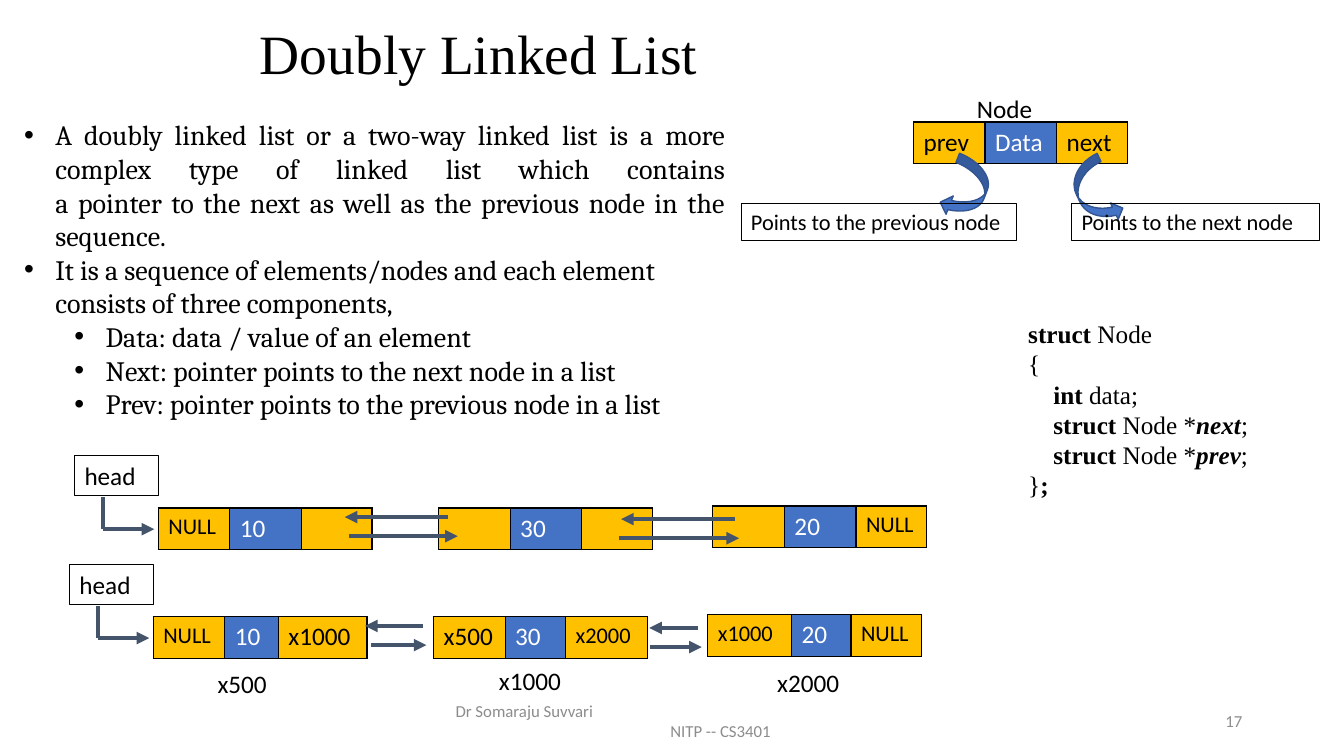
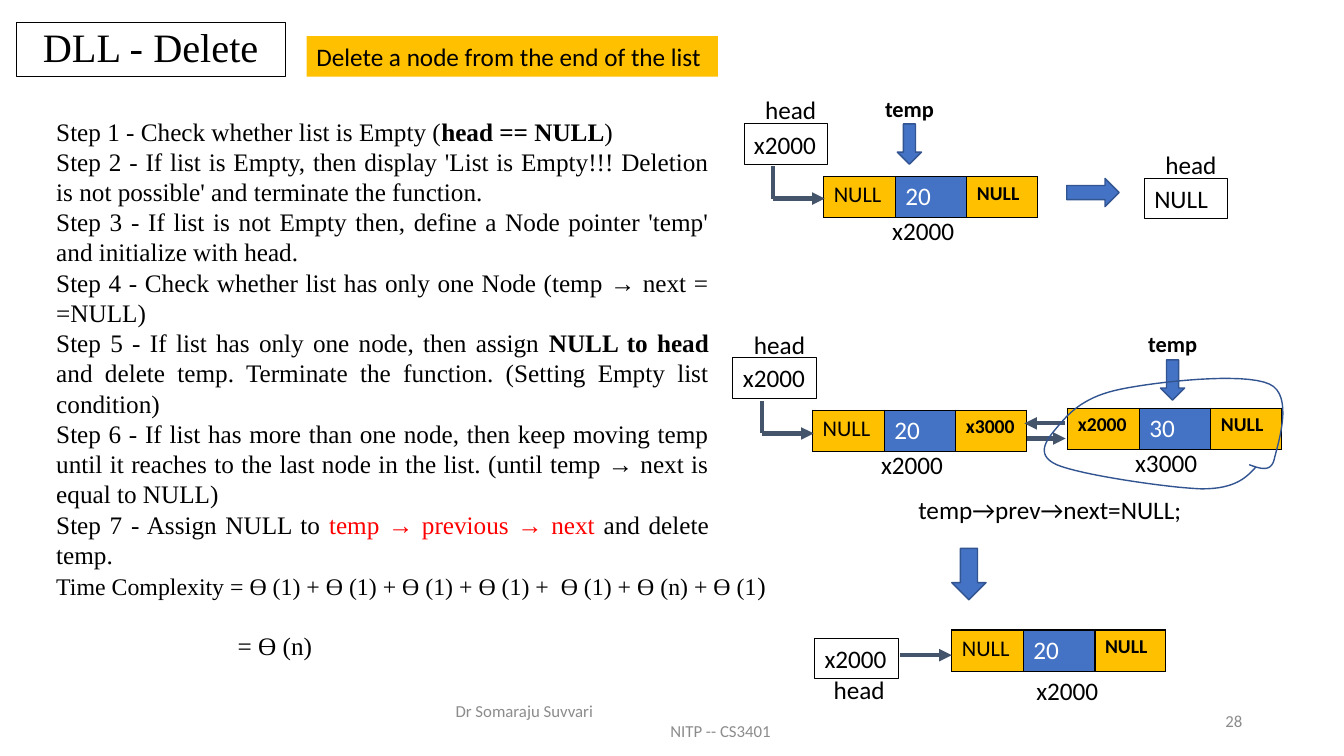
"""Build two lecture slides on doubly linked lists."""
from dataclasses import dataclass
from typing import Optional, Union

import pptx
import pptx.dml.color
import pptx.enum.shapes
import pptx.enum.text
import pptx.oxml
import pptx.oxml.ns
import pptx.util
from lxml import etree

RGB = pptx.dml.color.RGBColor
BLACK = RGB(0x00, 0x00, 0x00)
WHITE = RGB(0xFF, 0xFF, 0xFF)
GOLD = RGB(0xFF, 0xC0, 0x00)
BLUE = RGB(0x44, 0x72, 0xC4)
NAVY = RGB(0x32, 0x54, 0x91)
SLATE = RGB(0x44, 0x54, 0x6A)
GREY = RGB(0x8C, 0x8C, 0x8C)
RED = RGB(0xFF, 0x00, 0x00)
SANS, SERIF, BODY = "Calibri", "Times New Roman", "Cambria"
ALIGN = pptx.enum.text.PP_ALIGN
ANCHOR = pptx.enum.text.MSO_ANCHOR
SHAPE = pptx.enum.shapes.MSO_SHAPE
EMU_PER_PX = 9144
ROW_H = 41
CURVE_STEPS = 16


@dataclass
class Run:
    text: str
    bold: Optional[bool] = None
    italic: bool = False
    color: Optional[RGB] = None
    size: Optional[float] = None


@dataclass
class Para:
    content: Union[str, tuple]
    align: Optional[ALIGN] = None
    margin: int = 0
    bullet: bool = False
    level: int = 0
    before: int = 0


@dataclass
class Text:
    x: int
    y: int
    w: int
    h: int
    paras: tuple
    size: float = 18
    font: str = SANS
    color: RGB = BLACK
    bold: bool = False
    align: ALIGN = ALIGN.LEFT
    anchor: ANCHOR = ANCHOR.TOP
    spacing: Optional[float] = None
    fill: Optional[RGB] = None
    outline: bool = False


@dataclass
class Cell:
    text: str = ""
    size: int = 18
    bold: bool = False


@dataclass
class Node:
    x: int
    y: int
    cells: tuple
    widths: tuple = (71, 71, 70)


@dataclass
class Block:
    kind: SHAPE
    x: int
    y: int
    w: int
    h: int
    rotation: float = 0


@dataclass
class Arrow:
    x1: int
    x2: int
    y: int


def px(n: float) -> int:
    return pptx.util.Emu(round(n * EMU_PER_PX))


def style(font, name: str, size: float, color: RGB, bold: bool = False) -> None:
    font.name = name
    font.size = pptx.util.Pt(size)
    font.color.rgb = color
    font.bold = bold


def draw_text(s, t: Text) -> None:
    sp = s.shapes.add_textbox(px(t.x), px(t.y), px(t.w), px(t.h))
    if t.fill is not None:
        sp.fill.solid()
        sp.fill.fore_color.rgb = t.fill
    if t.outline:
        sp.line.color.rgb = BLACK
        sp.line.width = pptx.util.Pt(0.75)
    tf = sp.text_frame
    tf.word_wrap = True
    tf.vertical_anchor = t.anchor
    for i, item in enumerate(t.paras):
        para = item if isinstance(item, Para) else Para(item)
        p = tf.add_paragraph() if i else tf.paragraphs[0]
        p.alignment = para.align or t.align
        p.level = para.level
        if t.spacing:
            p.line_spacing = t.spacing
        if para.before:
            p.space_before = pptx.util.Pt(para.before)
        pPr = p._p.get_or_add_pPr()
        pPr.set("marL", str(px(para.margin)))
        if para.bullet:
            pPr.set("indent", str(px(-31)))
            etree.SubElement(pPr, pptx.oxml.ns.qn("a:buFont")).set("typeface", "Arial")
            etree.SubElement(pPr, pptx.oxml.ns.qn("a:buChar")).set("char", "•")
        if isinstance(para.content, str):
            p.text = para.content
            parts = [Run("")] * len(p.runs)
        else:
            parts = para.content
            for part in parts:
                p.add_run().text = part.text
        for r, part in zip(p.runs, parts):
            bold = t.bold if part.bold is None else part.bold
            style(r.font, t.font, part.size or t.size, part.color or t.color, bold)
            r.font.italic = part.italic


def draw_label(s, x: int, y: int, text: str) -> None:
    draw_text(s, Text(x, y, 103, 40, (text,)))


def draw_box(s, x: int, y: int, text: str) -> None:
    draw_text(s, Text(x, y, 83, 40, (text,), outline=True))


def draw_node(s, node: Node) -> None:
    frame = s.shapes.add_table(1, 3, px(node.x), px(node.y), px(sum(node.widths)), px(ROW_H))
    table = frame.table
    table.first_row = table.horz_banding = False
    table.rows[0].height = px(ROW_H)
    for i, (cell, width) in enumerate(zip(node.cells, node.widths)):
        table.columns[i].width = px(width)
        tc = table.cell(0, i)
        tc.fill.solid()
        tc.fill.fore_color.rgb = BLUE if i == 1 else GOLD
        p = tc.text_frame.paragraphs[0]
        p.text = cell.text
        for r in p.runs:
            style(r.font, SANS, cell.size, WHITE if i == 1 else BLACK, cell.bold)
        tcPr = tc._tc.get_or_add_tcPr()
        for k, side in enumerate(("lnL", "lnR", "lnT", "lnB")):
            tcPr.insert(k, pptx.oxml.parse_xml(
                f'<a:{side} {pptx.oxml.ns.nsdecls("a")} w="12700"><a:solidFill>'
                f'<a:srgbClr val="{BLACK}"/></a:solidFill></a:{side}>'))


def draw_line(s, x1: int, y1: int, x2: int, y2: int, head: bool = False) -> None:
    c = s.shapes.add_connector(pptx.enum.shapes.MSO_CONNECTOR.STRAIGHT, px(x1), px(y1), px(x2), px(y2))
    c.line.color.rgb = SLATE
    c.line.width = pptx.util.Pt(3)
    if head:
        ln = c.line._get_or_add_ln()
        etree.SubElement(ln, pptx.oxml.ns.qn("a:tailEnd")).set("type", "triangle")
    etree.SubElement(c._element.spPr, pptx.oxml.ns.qn("a:effectLst"))


def draw_arrow(s, a: Arrow) -> None:
    draw_line(s, a.x1, a.y, a.x2, a.y, head=True)


def draw_elbow(s, x: int, y: int) -> None:
    draw_arrow(s, Arrow(x, x + 51, y))
    draw_line(s, x, y, x, y - 32)


def outline_navy(sp) -> None:
    sp.shadow.inherit = False
    sp.line.color.rgb = NAVY
    sp.line.width = pptx.util.Pt(1)


def draw_block(s, b: Block) -> None:
    sp = s.shapes.add_shape(b.kind, px(b.x), px(b.y), px(b.w), px(b.h))
    sp.rotation = b.rotation
    sp.fill.solid()
    sp.fill.fore_color.rgb = BLUE
    outline_navy(sp)


def draw_loop(s, start: tuple, curves: tuple) -> None:
    points, a = [], start
    for b, c, d in curves:
        for step in range(1, CURVE_STEPS + 1):
            t = step / CURVE_STEPS
            u = 1 - t
            points.append(tuple(px(u**3 * m + 3 * u * u * t * n + 3 * u * t * t * o + t**3 * q)
                                for m, n, o, q in zip(a, b, c, d)))
        a = d
    builder = s.shapes.build_freeform(px(start[0]), px(start[1]))
    builder.add_line_segments(points, close=False)
    sp = builder.convert_to_shape()
    sp.fill.background()
    outline_navy(sp)


def add_slide(prs, number: str):
    s = prs.slides.add_slide(prs.slide_layouts[6])
    draw_text(s, Text(442, 695, 450, 40, ("Dr Somaraju Suvvari", Para("NITP -- CS3401", margin=213)),
                      size=12, color=GREY, anchor=ANCHOR.MIDDLE))
    draw_text(s, Text(942, 695, 300, 40, (number,), size=12, color=GREY,
                      align=ALIGN.RIGHT, anchor=ANCHOR.MIDDLE))
    return s


def draw_title(s, x: int, y: int, w: int, h: int, text: str, size: float, boxed: bool) -> None:
    draw_text(s, Text(x, y, w, h, (text,), size=size, font=SERIF, spacing=0.9, outline=boxed,
                      align=ALIGN.CENTER if boxed else ALIGN.LEFT, anchor=ANCHOR.MIDDLE))


def build_overview(prs) -> None:
    s = add_slide(prs, "17")
    draw_title(s, 248, 14, 496, 85, "Doubly Linked List", 39.6, False)
    null = Cell("NULL", 16)
    for node in (
        Node(906, 121, (Cell("prev"), Cell("Data"), Cell("next"))),
        Node(157, 504, (null, Cell("10"), Cell())),
        Node(435, 504, (Cell(), Cell("30"), Cell())),
        Node(707, 502, (Cell(), Cell("20"), null)),
        Node(152, 612, (null, Cell("10"), Cell("x1000")), (71, 53, 88)),
        Node(430, 612, (Cell("x500"), Cell("30"), Cell("x2000", 16)), (71, 60, 81)),
        Node(702, 610, (Cell("x1000", 16), Cell("20"), null), (83, 59, 70)),
    ):
        draw_node(s, node)
    draw_block(s, Block(SHAPE.CURVED_UP_ARROW, 1052, 173, 69, 36, 64.8))
    draw_block(s, Block(SHAPE.CURVED_LEFT_ARROW, 939, 157, 39, 62, 21.6))
    for x, w, side in ((1063, 246, "next"), (735, 273, "previous")):
        draw_text(s, Text(x, 202, w, 37, (f"Points to the {side} node",), size=16, outline=True))
    for x, y, text in ((959, 88, "Node"), (206, 658, "x500"), (485, 655, "x1000"), (761, 657, "x2000")):
        draw_label(s, x, y, text)
    for x, y in ((74, 452), (69, 560)):
        draw_box(s, x, y, "head")
        draw_elbow(s, x + 28, y + 73)
    for x1, x2, y in ((346, 454, 532), (444, 342, 513), (614, 733, 534), (729, 616, 515),
                      (368, 423, 640), (420, 362, 621), (645, 696, 642), (692, 644, 623)):
        draw_arrow(s, Arrow(x1, x2, y))
    parts = ("Data: data / value of an element", "Next: pointer points to the next node in a list",
             "Prev: pointer points to the previous node in a list")
    draw_text(s, Text(14, 112, 715, 343, (
        Para("A doubly linked list or a two-way linked list is a more complex type of linked list which "
             "contains\na pointer to the next as well as the previous node in the sequence.",
             ALIGN.JUSTIFY, 31, True),
        Para("It is a sequence of elements/nodes and each element consists of three components,",
             margin=31, bullet=True),
        *(Para(part, margin=81, bullet=True, level=1) for part in parts)), size=20, font=BODY))
    links = (Para((Run("    struct", True), Run(" Node *"), Run(name, True, True), Run(";")))
             for name in ("next", "prev"))
    draw_text(s, Text(1010, 311, 266, 192, (
        Para((Run("struct", True), Run(" Node"))), "{",
        Para((Run("    int", True), Run(" data;"))), *links,
        Para((Run("}"), Run(";", True)))), font=SERIF))


def build_delete(prs) -> None:
    s = add_slide(prs, "28")
    draw_title(s, 16, 22, 267, 54, "DLL - Delete", 28.8, True)
    draw_text(s, Text(304, 36, 408, 40, ("Delete a node from the end of the list",), fill=GOLD))
    draw_text(s, Text(46, 110, 667, 464, (
        Para((Run("Step 1 - Check whether list is Empty ("), Run("head == NULL", True), Run(")"))),
        "Step 2 - If list is Empty, then display 'List is Empty!!! Deletion is not possible' and "
        "terminate the function.",
        "Step 3 - If list is not Empty then, define a Node pointer 'temp' and initialize with head.",
        "Step 4 - Check whether list has only one Node (temp → next = =NULL)",
        Para((Run("Step 5 - If list has only one node, then assign "), Run("NULL to head ", True),
              Run("and delete temp. Terminate the function. (Setting Empty list condition)"))),
        "Step 6 - If list has more than one node, then keep moving temp until it reaches to the last "
        "node in the list. (until temp → next is equal to NULL)",
        Para((Run("Step 7 - Assign NULL to "), Run("temp → previous → next", color=RED),
              Run(" and delete temp."))),
    ), font=SERIF, align=ALIGN.JUSTIFY))
    draw_text(s, Text(46, 561, 740, 71, (
        Para((Run("Time Complexity = Ɵ (1) + Ɵ (1) + Ɵ (1) + Ɵ (1) +  Ɵ (1) + Ɵ (n) + Ɵ (1", size=17),
              Run(")"))),
        Para("= Ɵ (n)", margin=180, before=21)), font=SERIF))
    null, end = Cell("NULL", 16), Cell("NULL", 14, True)
    for node in (
        Node(817, 175, (null, Cell("20"), end)),
        Node(806, 407, (null, Cell("20"), Cell("x3000", 14, True))),
        Node(1059, 405, (Cell("x2000", 14, True), Cell("30"), end)),
        Node(944, 625, (null, Cell("20"), end)),
    ):
        draw_node(s, node)
    for x, y, text in ((738, 123, "x2000"), (1135, 177, "NULL"), (727, 355, "x2000"), (808, 633, "x2000")):
        draw_box(s, x, y, text)
    for x, y, text in ((749, 89, "head"), (1146, 143, "head"), (738, 322, "head"), (817, 664, "head"),
                       (875, 209, "x2000"), (864, 441, "x2000"), (1116, 439, "x3000"), (1018, 665, "x2000")):
        draw_label(s, x, y, text)
    draw_text(s, Text(901, 486, 299, 40, ("temp→prev→next=NULL;",)))
    for x, y in ((868, 89), (1129, 323)):
        draw_text(s, Text(x, y, 76, 37, ("temp",), size=16, bold=True))
        draw_block(s, Block(SHAPE.DOWN_ARROW, x + 22, y + 34, 24, 40))
    draw_block(s, Block(SHAPE.RIGHT_ARROW, 1058, 177, 52, 28))
    draw_block(s, Block(SHAPE.DOWN_ARROW, 944, 544, 34, 51))
    for x, y in ((767, 197), (756, 430)):
        draw_elbow(s, x, y)
    for x1, x2, y in ((1056, 1016, 420), (1019, 1057, 435), (893, 944, 650)):
        draw_arrow(s, Arrow(x1, x2, y))
    draw_loop(s, (1239, 461), (
        ((1250, 465), (1261, 469), (1264, 455)), ((1267, 442), (1284, 392), (1259, 381)),
        ((1233, 369), (1146, 379), (1112, 386)), ((1077, 393), (1062, 408), (1051, 421)),
        ((1041, 433), (1024, 450), (1048, 461)), ((1071, 471), (1159, 484), (1192, 485)),
        ((1225, 485), (1236, 474), (1246, 463))))


def main() -> None:
    prs = pptx.Presentation()
    prs.slide_width, prs.slide_height = px(1333), px(750)
    build_overview(prs)
    build_delete(prs)
    prs.save("out.pptx")


if __name__ == "__main__":
    main()
